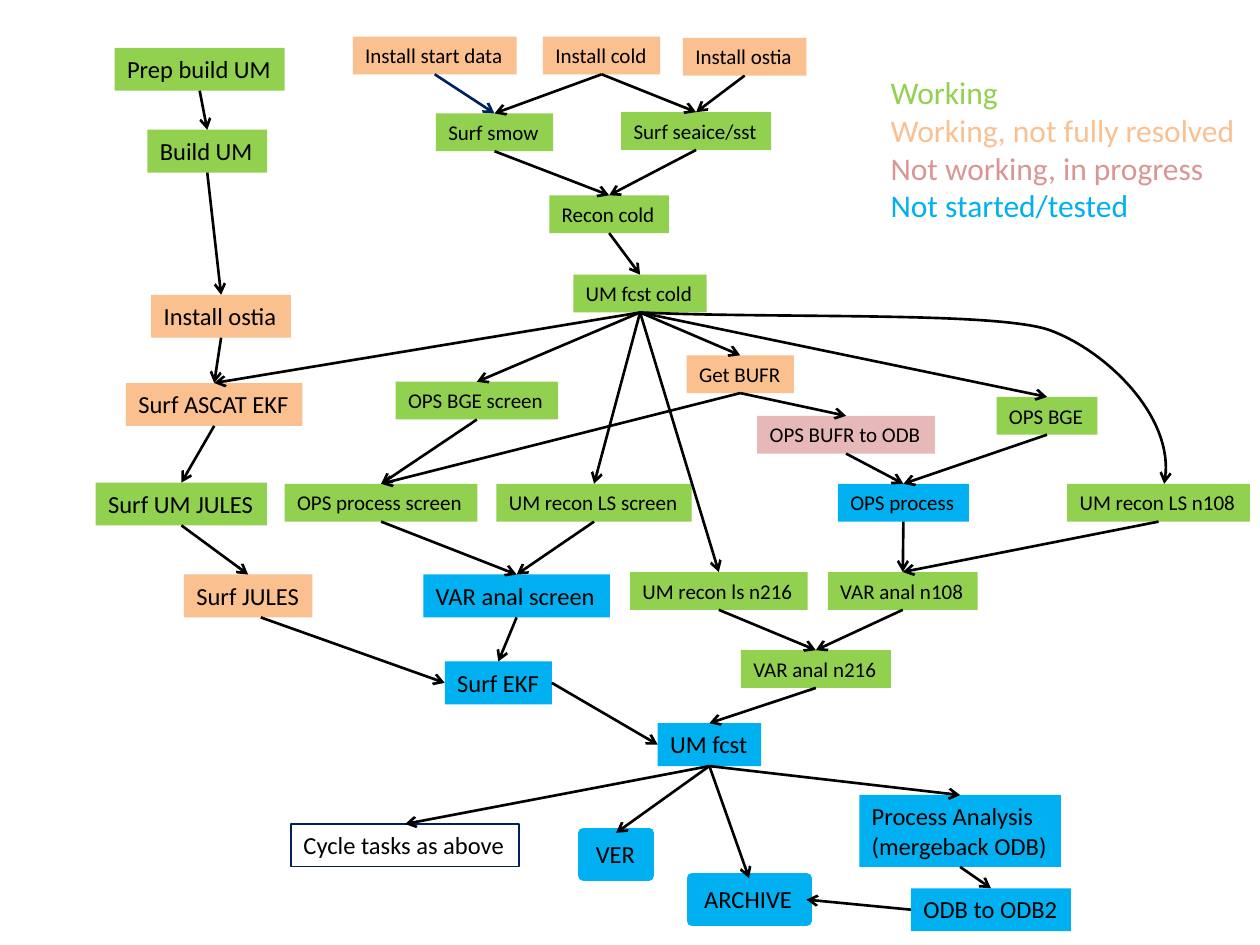
from dataclasses import dataclass
from typing import Optional

from lxml import etree
from pptx import Presentation
from pptx.dml.color import RGBColor
from pptx.enum.shapes import MSO_CONNECTOR, MSO_SHAPE
from pptx.enum.text import MSO_ANCHOR, MSO_AUTO_SIZE, PP_ALIGN
from pptx.oxml.ns import qn
from pptx.util import Inches, Pt

RECTANGLE, STRAIGHT = MSO_SHAPE.RECTANGLE, MSO_CONNECTOR.STRAIGHT
LEFT, TOP_ANCHOR, GROW = PP_ALIGN.LEFT, MSO_ANCHOR.TOP, MSO_AUTO_SIZE.SHAPE_TO_FIT_TEXT
TOP, LEFT_SIDE, BOTTOM, RIGHT_SIDE = range(4)

# The page is a grid of 100 columns by 75 rows.
COLUMNS, ROWS = 100, 75
PAGE_WIDTH, PAGE_HEIGHT = Inches(10), Inches(7.5)
BOX_ROWS = {12: 3.0, 14: 3.4}
FONT = "Calibri"
COLOURS = {
    "working": "92D050", "partial": "FAC090", "failing": "E6B9B8", "untested": "00B0F0",
    "failing text": "D99694", "text": "000000", "navy": "002060",
}


@dataclass
class Task:
    key: str
    column: float
    row: float
    columns: float
    state: Optional[str]
    size: int = 12
    label: str = ""
    lines: int = 1
    outline: Optional[str] = None
    outline_width: float = 6


@dataclass
class Flow:
    source: str
    target: str
    leave: int = BOTTOM
    enter: int = TOP
    colour: str = "text"
    offset: float = 0


TASKS = [
    Task("Install start data", 28, 2.9, 13, "partial"),
    Task("Install cold", 43.1, 2.9, 9.3, "partial"),
    Task("Install ostia", 54.2, 3, 9.8, "partial"),
    Task("Surf smow", 34.6, 9, 9.3, "working"),
    Task("Surf seaice/sst", 49.3, 8.9, 11.9, "working"),
    Task("Recon cold", 43.6, 15.5, 9.5, "working"),
    Task("UM fcst cold", 45.5, 21.8, 10.6, "working"),
    Task("Get BUFR", 54.5, 28.2, 8.5, "partial"),
    Task("OPS BGE screen", 31.4, 30.3, 12.9, "working"),
    Task("OPS BGE", 79.1, 31.5, 8, "working"),
    Task("OPS BUFR to ODB", 60.1, 33, 14.1, "failing"),
    Task("OPS process screen", 22.6, 38.4, 15.3, "working"),
    Task("UM recon LS screen", 39.4, 38.4, 15.5, "working"),
    Task("OPS process", 66.5, 38.4, 10.4, "untested"),
    Task("UM recon LS n108", 84.7, 38.4, 14.5, "working"),
    Task("UM recon ls n216", 50, 45.4, 14.1, "working"),
    Task("VAR anal n108", 65.7, 45.4, 11.9, "working"),
    Task("VAR anal n216", 58.8, 51.6, 11.9, "working"),
    Task("Prep build UM", 9.1, 3.8, 13.5, "working", 14),
    Task("Build UM", 11.7, 10.3, 9.5, "working", 14),
    Task("Install cycle ostia", 12, 23.4, 11.1, "partial", 14, "Install ostia"),
    Task("Surf ASCAT EKF", 10, 30.4, 14, "partial", 14),
    Task("Surf UM JULES", 7.6, 38.3, 13.6, "working", 14),
    Task("Surf JULES", 14.6, 45.6, 10.2, "partial", 14),
    Task("VAR anal screen", 33.6, 45.6, 14.8, "untested", 14),
    Task("Surf EKF", 35.3, 52.5, 8.5, "untested", 14),
    Task("UM fcst", 52.2, 57.4, 8.2, "untested", 14),
    Task("Cycle tasks as above", 23.1, 65.4, 18.1, None, 14, outline="navy", outline_width=0.75),
    Task("VER", 46.3, 66.1, 5.2, "untested", 14, outline="untested"),
    Task("ARCHIVE", 54.9, 69.7, 9.1, "untested", 14, outline="untested"),
    Task("Process Analysis", 68.2, 63.1, 16, "untested", 14,
         "Process Analysis\v(mergeback ODB)", 2),
    Task("ODB to ODB2", 72.3, 70.5, 12.7, "untested", 14),
]

# Each task with the tasks that follow it, bottom side to top side.
FOLLOWERS = {
    "Install cold": ["Surf smow", "Surf seaice/sst"],
    "Install ostia": ["Surf seaice/sst"],
    "Surf smow": ["Recon cold"],
    "Surf seaice/sst": ["Recon cold"],
    "Recon cold": ["UM fcst cold"],
    "UM fcst cold": ["Get BUFR", "OPS BGE", "UM recon LS screen", "OPS BGE screen",
                     "Surf ASCAT EKF", "UM recon ls n216"],
    "Get BUFR": ["OPS BUFR to ODB", "OPS process screen"],
    "OPS BUFR to ODB": ["OPS process"],
    "OPS BGE": ["OPS process"],
    "OPS process": ["VAR anal n108"],
    "UM recon LS n108": ["VAR anal n108"],
    "VAR anal n108": ["VAR anal n216"],
    "UM recon ls n216": ["VAR anal n216"],
    "UM recon LS screen": ["VAR anal screen"],
    "OPS process screen": ["VAR anal screen"],
    "OPS BGE screen": ["OPS process screen"],
    "VAR anal screen": ["Surf EKF"],
    "Prep build UM": ["Build UM"],
    "Build UM": ["Install cycle ostia"],
    "Install cycle ostia": ["Surf ASCAT EKF"],
    "Surf ASCAT EKF": ["Surf UM JULES"],
    "Surf UM JULES": ["Surf JULES"],
    "VAR anal n216": ["UM fcst"],
    "UM fcst": ["ARCHIVE", "Cycle tasks as above", "VER", "Process Analysis"],
    "Process Analysis": ["ODB to ODB2"],
}
FLOWS = [Flow(source, target) for source, targets in FOLLOWERS.items() for target in targets] + [
    Flow("Install start data", "Surf smow", colour="navy"),
    Flow("Surf JULES", "Surf EKF", enter=LEFT_SIDE, offset=1),
    Flow("Surf EKF", "UM fcst", RIGHT_SIDE, LEFT_SIDE),
    Flow("ODB to ODB2", "ARCHIVE", LEFT_SIDE, RIGHT_SIDE),
]
# Start point, then control, control and end point of each Bézier segment.
CURVE = [(50.8, 24.8), (61.6, 25.3), (79, 24.7), (83.3, 26.2),
         (87.7, 27.8), (93.5, 33.4), (92.4, 38.4)]
LEGEND = [("Working", "working"), ("Working, not fully resolved", "partial"),
          ("Not working, in progress", "failing text"), ("Not started/tested", "untested")]


def across(columns: float) -> int:
    return round(PAGE_WIDTH * columns / COLUMNS)


def down(rows: float) -> int:
    return round(PAGE_HEIGHT * rows / ROWS)


def colour_of(name: str) -> RGBColor:
    return RGBColor.from_string(COLOURS[name])


def set_all(target, values: dict) -> None:
    for name, value in values.items():
        setattr(target, name, value)


def format_text(para, size: int, colour: str) -> None:
    para.alignment = LEFT
    set_all(para.font, {"name": FONT, "size": Pt(size)})
    para.font.color.rgb = colour_of(colour)


def draw_task(page, task: Task):
    rows = BOX_ROWS[task.size] + (task.lines - 1) * 2.3
    box = page.shapes.add_shape(RECTANGLE, across(task.column), down(task.row),
                                across(task.columns), down(rows))
    box.shadow.inherit = False
    if task.state:
        box.fill.solid()
        box.fill.fore_color.rgb = colour_of(task.state)
    else:
        box.fill.background()
    if task.outline:
        box.line.color.rgb = colour_of(task.outline)
        box.line.width = Pt(task.outline_width)
    else:
        box.line.fill.background()
    frame = box.text_frame
    set_all(frame, {"word_wrap": False, "auto_size": GROW, "vertical_anchor": TOP_ANCHOR})
    frame.text = task.label or task.key
    format_text(frame.paragraphs[0], task.size, "text")
    return box


def style_arrow(shape, colour: str) -> None:
    shape.line.color.rgb = colour_of(colour)
    shape.line.width = Pt(1.5)
    outline = shape._element.spPr.find(qn("a:ln"))
    etree.SubElement(outline, qn("a:tailEnd"), type="arrow")


def draw_flow(page, flow: Flow, boxes: dict) -> None:
    source, target = boxes[flow.source], boxes[flow.target]
    start_x = source.left + source.width // 2 + across(flow.offset)
    arrow = page.shapes.add_connector(STRAIGHT, start_x, source.top + source.height,
                                      target.left, target.top)
    if not flow.offset:
        arrow.begin_connect(source, flow.leave)
    arrow.end_connect(target, flow.enter)
    style_arrow(arrow, flow.colour)
    etree.SubElement(arrow._element.spPr, qn("a:effectLst"))


def draw_curve(page, points: list) -> None:
    """Draw a Bézier arrow by turning each three line segments into one curve."""
    start, *rest = [(across(column), down(row)) for column, row in points]
    builder = page.shapes.build_freeform(*start)
    builder.add_line_segments(rest, close=False)
    curve = builder.convert_to_shape()
    segments = list(curve._element.iter(qn("a:lnTo")))
    outline = segments[0].getparent()
    for first in range(0, len(segments), 3):
        bezier = etree.SubElement(outline, qn("a:cubicBezTo"))
        for segment in segments[first:first + 3]:
            bezier.append(segment[0])
            outline.remove(segment)
    curve.fill.background()
    curve.shadow.inherit = False
    style_arrow(curve, "text")


def draw_legend(page) -> None:
    frame = page.shapes.add_textbox(across(69.7), down(5.3), across(29.6), down(13.1)).text_frame
    set_all(frame, {"word_wrap": False, "auto_size": GROW})
    frame.text = "\n".join(label for label, _ in LEGEND)
    for para, (_, colour) in zip(frame.paragraphs, LEGEND):
        format_text(para, 18, colour)


def main() -> None:
    deck = Presentation()
    set_all(deck, {"slide_width": PAGE_WIDTH, "slide_height": PAGE_HEIGHT})
    page = deck.slides.add_slide(deck.slide_layouts[6])
    draw_legend(page)
    boxes = {task.key: draw_task(page, task) for task in TASKS}
    for flow in FLOWS:
        draw_flow(page, flow, boxes)
    draw_curve(page, CURVE)
    deck.save("out.pptx")


if __name__ == "__main__":
    main()
